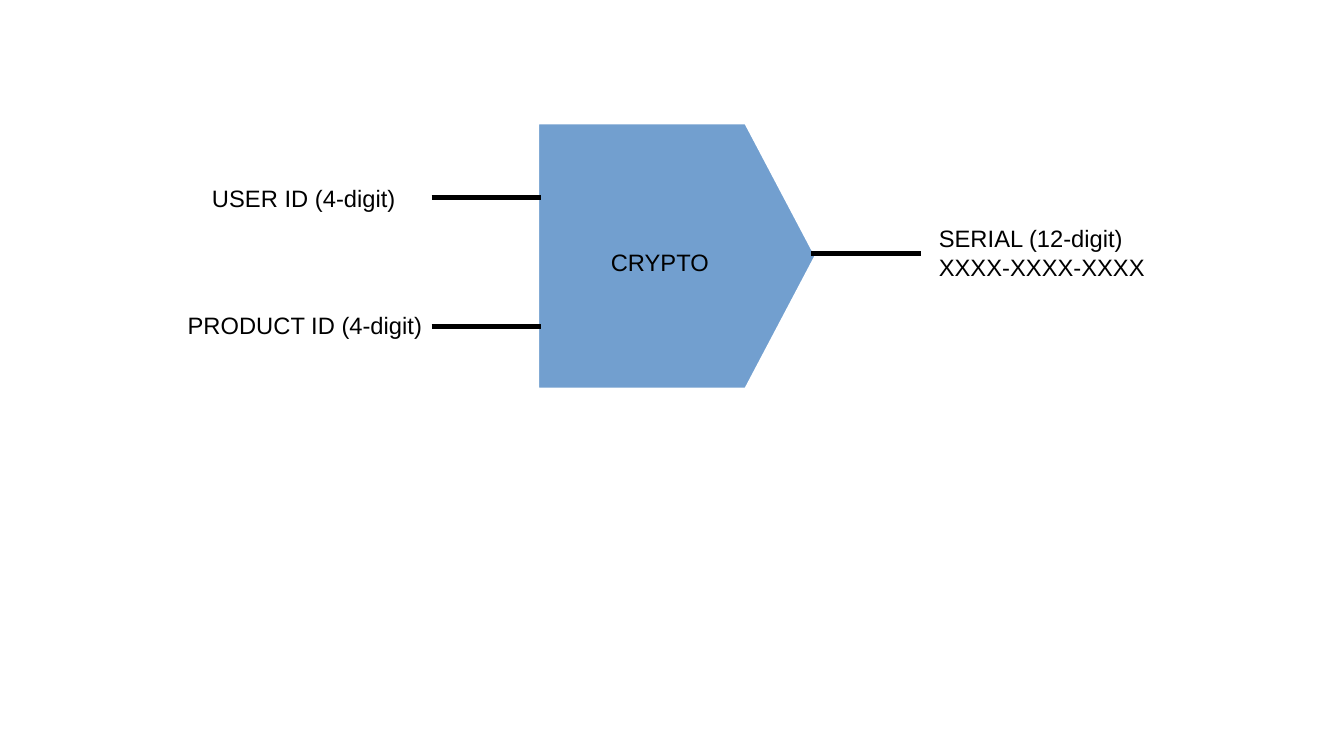
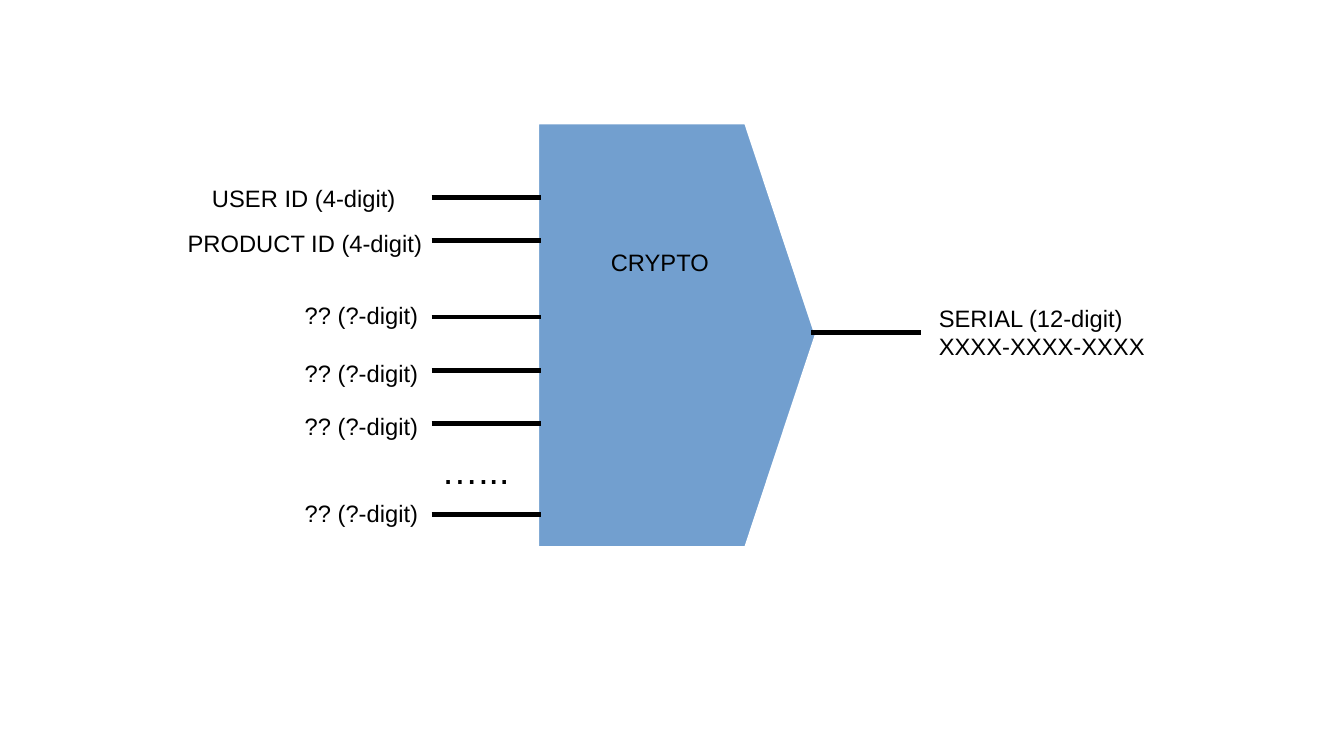
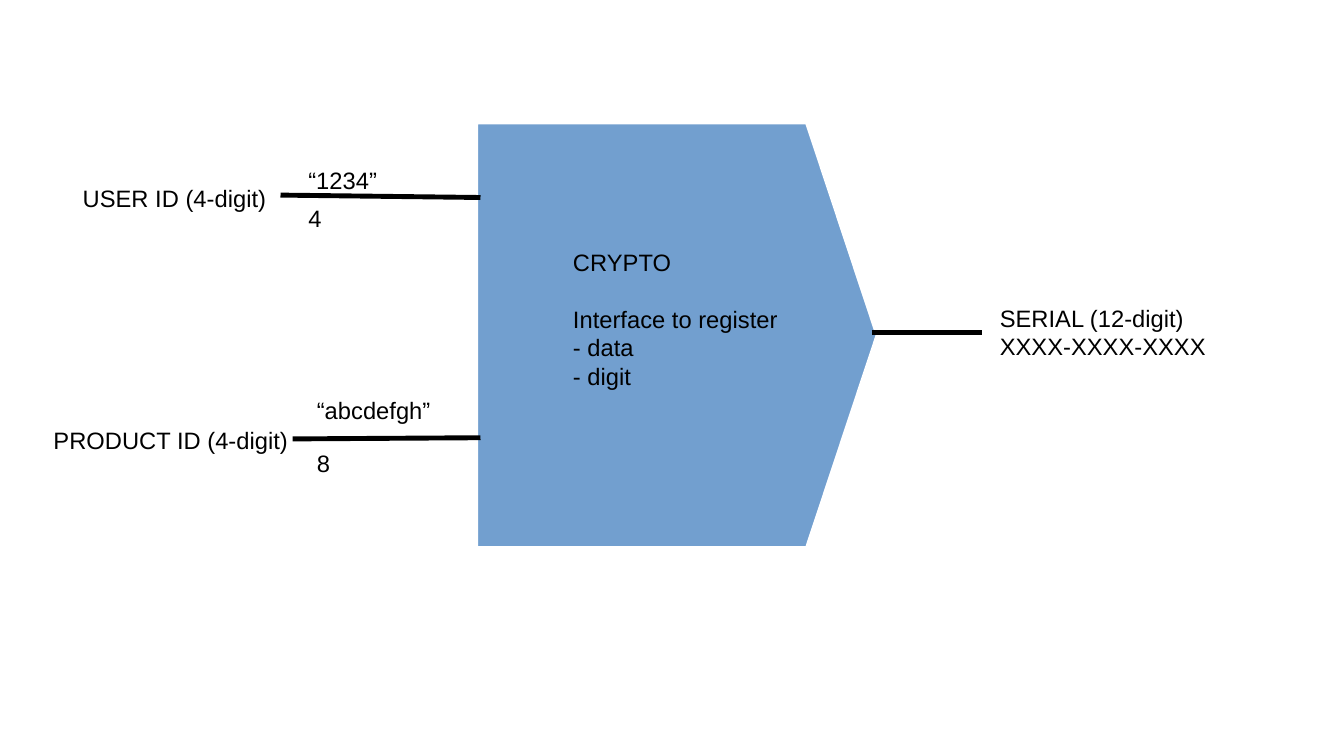
from dataclasses import dataclass

from lxml import etree
from pptx import Presentation
from pptx.dml.color import RGBColor
from pptx.enum.shapes import MSO_CONNECTOR, MSO_SHAPE
from pptx.oxml.ns import qn
from pptx.util import Inches, Pt

STRAIGHT = MSO_CONNECTOR.STRAIGHT
PENTAGON = MSO_SHAPE.PENTAGON
BLANK_LAYOUT = 6


@dataclass(frozen=True)
class Theme:
    """Colours, font and sizes shared by all slides."""

    block: RGBColor = RGBColor(0x72, 0x9F, 0xCF)
    outline: RGBColor = RGBColor(0xFF, 0xFF, 0xFF)
    ink: RGBColor = RGBColor(0x00, 0x00, 0x00)
    font: str = "Arial"
    text_size: int = 14
    dots_size: int = 22
    line_width: float = 2.89
    blank_line: int = 17
    label_width: float = 2.46
    label_height: float = 0.54
    tip: float = 0.58
    output_wire: float = 0.9


@dataclass(frozen=True)
class Box:
    """A block's place on the slide, in inches."""

    left: float
    top: float
    width: float
    height: float


@dataclass(frozen=True)
class Port:
    """An input's label and wire, measured from the block's top left corner."""

    label: str
    label_left: float
    label_top: float
    wire_y: float
    wire_left: float = -0.86
    wire_drop: float = 0


@dataclass(frozen=True)
class Note:
    """Free text, measured from the block's top left corner."""

    lines: tuple
    left: float
    top: float
    size: int = Theme.text_size


THEME = Theme()
USER = "USER ID (4-digit)"
PRODUCT = "PRODUCT ID (4-digit)"
UNKNOWN = "?? (?-digit)"
OUTPUT = ("SERIAL (12-digit)", "XXXX-XXXX-XXXX")


def add_text(slide, left, top, lines, size=THEME.text_size):
    """Write one paragraph per line; an empty line becomes space before the next."""
    shape = slide.shapes.add_textbox(
        Inches(left), Inches(top), Inches(THEME.label_width), Inches(THEME.label_height)
    )
    frame = shape.text_frame
    frame.word_wrap = True
    for index, line in enumerate(lines):
        if not line:
            continue
        paragraph = frame.add_paragraph() if index else frame.paragraphs[0]
        if index and not lines[index - 1]:
            paragraph.space_before = Pt(THEME.blank_line)
        run = paragraph.add_run()
        run.text = line
        run.font.name = THEME.font
        run.font.size = Pt(size)
        run.font.color.rgb = THEME.ink


def add_wire(slide, start, end):
    """Draw a straight wire between two points."""
    wire = slide.shapes.add_connector(STRAIGHT, *map(Inches, start + end))
    wire.line.color.rgb = THEME.ink
    wire.line.width = Pt(THEME.line_width)
    etree.SubElement(wire._element.spPr, qn("a:effectLst"))


def add_block(slide, box):
    """Draw the pentagon with a tip of fixed length."""
    block = slide.shapes.add_shape(
        PENTAGON, Inches(box.left), Inches(box.top), Inches(box.width), Inches(box.height)
    )
    block.adjustments[0] = THEME.tip / min(box.width, box.height)
    block.shadow.inherit = False
    block.fill.solid()
    block.fill.fore_color.rgb = THEME.block
    block.line.color.rgb = THEME.outline
    block.line.width = Pt(THEME.line_width)


def add_input(slide, box, port):
    """Place an input's label and its wire into the block."""
    add_text(slide, box.left + port.label_left, box.top + port.label_top, (port.label,))
    wire_y = box.top + port.wire_y
    add_wire(
        slide,
        (box.left + port.wire_left, wire_y - port.wire_drop),
        (box.left + 0.04, wire_y),
    )


def add_output(slide, box):
    """Place the wire and label at the block's tip."""
    right = box.left + box.width
    middle = box.top + box.height / 2
    wire_y = middle - 0.02
    add_wire(slide, (right - 0.05, wire_y), (right - 0.05 + THEME.output_wire, wire_y))
    add_text(slide, right + 0.9, middle - 0.31, OUTPUT)


def add_diagram_slide(presentation, box, ports, notes):
    """Build one slide with a block, its inputs, output and notes."""
    slide = presentation.slides.add_slide(presentation.slide_layouts[BLANK_LAYOUT])
    add_block(slide, box)
    for port in ports:
        add_input(slide, box, port)
    add_output(slide, box)
    for note in notes:
        add_text(slide, box.left + note.left, box.top + note.top, note.lines, note.size)


def main():
    """Build and save the presentation."""
    presentation = Presentation()
    presentation.slide_width = Inches(11.02)
    presentation.slide_height = Inches(6.2)

    user = Port(USER, -2.76, 0.46, 0.62)
    caption = Note(("CRYPTO",), 0.51, 0.98)
    unknown_rows = ((1.42, 1.6), (1.89, 2.04), (2.33, 2.47), (3.04, 3.22))
    unknowns = [Port(UNKNOWN, -2, label_top, wire_y) for label_top, wire_y in unknown_rows]

    add_diagram_slide(
        presentation,
        Box(4.4, 1, 2.3, 2.2),
        [user, Port(PRODUCT, -2.96, 1.5, 1.68)],
        [caption],
    )
    add_diagram_slide(
        presentation,
        Box(4.4, 1, 2.3, 3.5),
        [user, Port(PRODUCT, -2.96, 0.83, 0.97), *unknowns],
        [caption, Note(("…...",), -0.88, 2.62, THEME.dots_size)],
    )
    add_diagram_slide(
        presentation,
        Box(3.9, 1, 3.3, 3.5),
        [
            Port(USER, -3.32, 0.46, 0.62, -1.6, 0.02),
            Port(PRODUCT, -3.56, 2.44, 2.59, -1.5, -0.01),
        ],
        [
            Note(("CRYPTO", "", "Interface to register", "- data", "- digit"), 0.7, 0.98),
            Note(("“1234”",), -1.47, 0.31),
            Note(("4",), -1.47, 0.62),
            Note(("“abcdefgh”",), -1.4, 2.2),
            Note(("8",), -1.4, 2.63),
        ],
    )
    presentation.save("out.pptx")


if __name__ == "__main__":
    main()
